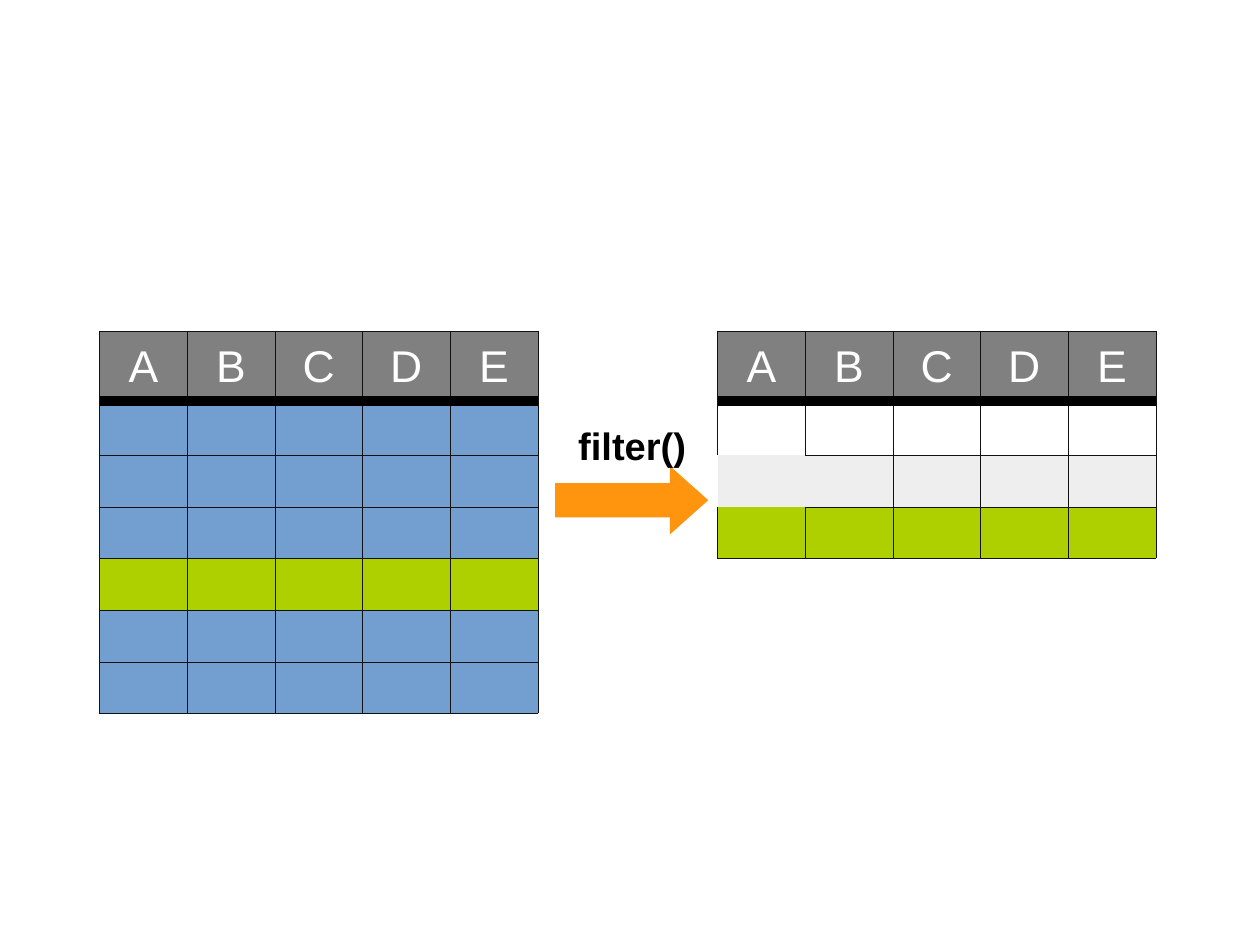
from lxml.etree import SubElement
from pptx import Presentation
from pptx.dml.color import RGBColor
from pptx.enum.shapes import MSO_CONNECTOR, MSO_SHAPE
from pptx.enum.text import MSO_ANCHOR, MSO_AUTO_SIZE, PP_ALIGN
from pptx.oxml import parse_xml
from pptx.oxml.ns import nsdecls, qn
from pptx.util import Mm, Pt

COLOURS = {
    "header": "808080",
    "row": "729FCF",
    "match": "AECF00",
    "blank": "FFFFFF",
    "band": "EEEEEE",
    "border": "111111",
    "rule": "000000",
    "arrow": "FF950E",
}
HEADER_FONT = {"name": "Arial", "size": Pt(28), "bold": False}
LABEL_FONT = {"name": "Arial", "size": Pt(24), "bold": True}
SIDES = {"L": (0, -1), "R": (0, 1), "T": (-1, 0), "B": (1, 0)}
COLUMN_NAMES = "ABCDE"

# Percent of the slide's width or height
TABLE_TOP, TABLE_WIDTH = 35, 34.77
HEADER_HEIGHT, ROW_HEIGHT = 7.68, 5.47
RULE_Y = 42.45


def colour(name):
    return RGBColor.from_string(COLOURS[name])


class FilterSlide:
    """Places elements by percent of the slide's size."""

    def __init__(self, presentation):
        self.width = presentation.slide_width
        self.height = presentation.slide_height
        self.shapes = presentation.slides.add_slide(presentation.slide_layouts[6]).shapes

    def x(self, percent):
        return round(self.width * percent / 100)

    def y(self, percent):
        return round(self.height * percent / 100)

    def box(self, left, top, width, height):
        return self.x(left), self.y(top), self.x(width), self.y(height)

    def style(self, font, formats, colour_name):
        for attribute, value in formats.items():
            setattr(font, attribute, value)
        font.color.rgb = colour(colour_name)

    def border(self, cell, order, side, width):
        """Draw one cell edge; a width of zero leaves it open."""
        paint = (f'<a:solidFill><a:srgbClr val="{COLOURS["border"]}"/></a:solidFill>'
                 if width else "<a:noFill/>")
        edge = parse_xml(f'<a:ln{side} {nsdecls("a")} w="{Pt(width)}">{paint}</a:ln{side}>')
        cell._tc.get_or_add_tcPr().insert(order, edge)

    def data_table(self, left, row_fills, open_cells=()):
        """Draw a header and one row per fill; open cells have no edges."""
        fills = ["header", *row_fills]
        height = HEADER_HEIGHT + ROW_HEIGHT * len(row_fills)
        table = self.shapes.add_table(
            len(fills), len(COLUMN_NAMES),
            *self.box(left, TABLE_TOP, TABLE_WIDTH, height)).table
        table.first_row = table.horz_banding = False
        for row, fill in enumerate(fills):
            table.rows[row].height = self.y(ROW_HEIGHT if row else HEADER_HEIGHT)
            for column, name in enumerate(COLUMN_NAMES):
                cell = table.cell(row, column)
                cell.fill.solid()
                cell.fill.fore_color.rgb = colour(fill)
                if row == 0:
                    self.header_text(cell, name)
                for order, (side, (down, across)) in enumerate(SIDES.items()):
                    ends = {(row, column), (row + down, column + across)}
                    under_header = (row, side) in ((0, "B"), (1, "T"))
                    width = 0.34 if under_header else 0.11
                    self.border(cell, order, side, 0 if ends & set(open_cells) else width)
        self.rule(left)

    def header_text(self, cell, name):
        cell.vertical_anchor = MSO_ANCHOR.MIDDLE
        paragraph = cell.text_frame.paragraphs[0]
        paragraph.alignment = PP_ALIGN.CENTER
        run = paragraph.add_run()
        run.text = name
        self.style(run.font, HEADER_FONT, "blank")

    def rule(self, left):
        """Draw the heavy line under a table's header."""
        line = self.shapes.add_connector(
            MSO_CONNECTOR.STRAIGHT, self.x(left), self.y(RULE_Y),
            self.x(left + TABLE_WIDTH), self.y(RULE_Y))
        line.line.color.rgb = colour("rule")
        line.line.width = Pt(6)
        SubElement(line._element.spPr, qn("a:effectLst"))

    def arrow(self, *place):
        arrow = self.shapes.add_shape(MSO_SHAPE.RIGHT_ARROW, *self.box(*place))
        arrow.adjustments[1] = 0.56
        arrow.shadow.inherit = False
        arrow.fill.solid()
        arrow.fill.fore_color.rgb = colour("arrow")
        arrow.line.fill.background()

    def label(self, text, *place):
        frame = self.shapes.add_textbox(*self.box(*place)).text_frame
        frame.word_wrap = False
        frame.auto_size = MSO_AUTO_SIZE.SHAPE_TO_FIT_TEXT
        run = frame.paragraphs[0].add_run()
        run.text = text
        self.style(run.font, LABEL_FONT, "rule")


def main():
    presentation = Presentation()
    presentation.slide_width = Mm(280)
    presentation.slide_height = Mm(210)
    slide = FilterSlide(presentation)
    slide.data_table(7.9, ["row"] * 3 + ["match"] + ["row"] * 2)
    slide.data_table(56.95, ["blank", "band", "match"], open_cells=[(2, 0)])
    slide.arrow(44.05, 49.3, 12.16, 7.26)
    slide.label("filter()", 45, 44.05, 10.6, 5.68)
    presentation.save("out.pptx")


if __name__ == "__main__":
    main()
